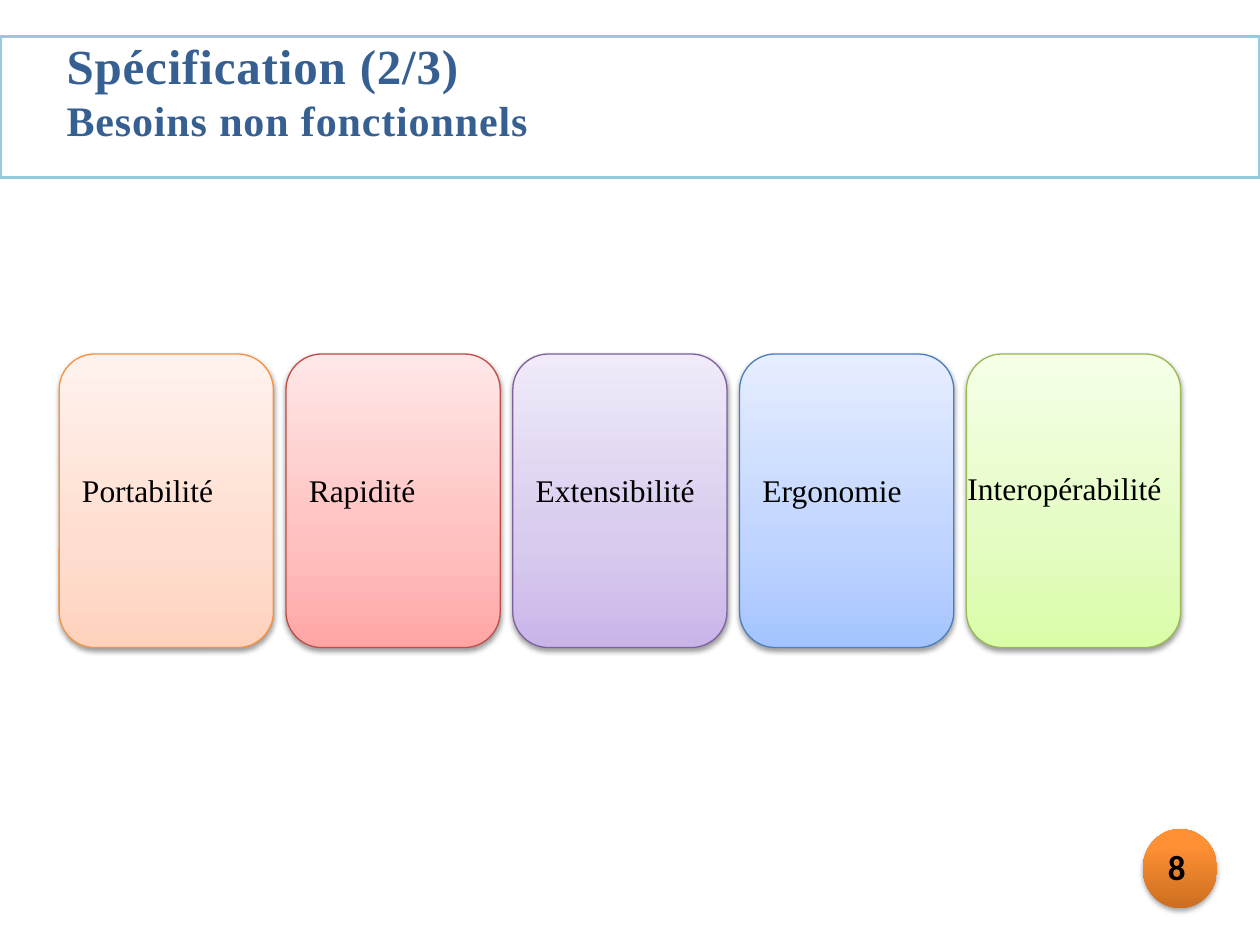
from dataclasses import dataclass

from lxml.etree import SubElement as Sub
from pptx import Presentation
from pptx.dml.color import RGBColor as RGB
from pptx.enum.shapes import MSO_SHAPE as Kind
from pptx.enum.text import MSO_ANCHOR as Anchor, PP_ALIGN as Align
from pptx.oxml.ns import qn
from pptx.util import Inches, Pt


@dataclass(frozen=True)
class Theme:
    serif: str = "Times New Roman"
    sans: str = "Calibri"
    ink: str = "000000"
    paper: str = "FFFFFF"
    title: str = "376092"
    frame: str = "93CDDD"
    head: int = 28
    sub: int = 24
    body: int = 18
    page: int = 20
    badge: tuple = ((0, "CC6E20"), (80, "FF9034"), (100, "FF9136"))


THEME = Theme()

CARDS = [
    ("Portabilité", "F69240", ("FFD2BD", "FFDED0", "FFF2ED")),
    ("Rapidité", "BF4C48", ("FFA6A5", "FFC0BF", "FFE7E7")),
    ("Extensibilité", "7D60A0", ("C9B5E8", "D8CBEE", "F0EAF9")),
    ("Ergonomie", "4B7EBC", ("A4C4FF", "BFD4FF", "E6EEFF")),
    ("", "98B955", ("DAFDA7", "E4FCC2", "F5FFE7")),
]


def add_shape(slide, kind, box, line=None, width=0.75):
    shape = slide.shapes.add_shape(kind, *map(Inches, box))
    shape.shadow.inherit = False
    if line:
        shape.line.color.rgb = RGB.from_string(line)
        shape.line.width = Pt(width)
    else:
        shape.line.fill.background()
    return shape


def add_color(node, color):
    return Sub(node, qn("a:srgbClr"), val=color)


def set_blend(shape, stops):
    shape.fill.gradient()
    shape.fill.gradient_angle = 90
    group = shape.element.spPr.find(".//" + qn("a:gsLst"))
    for old in list(group):
        group.remove(old)
    for place, color in stops:
        add_color(Sub(group, qn("a:gs"), pos=str(place * 1000)), color)


def set_shadow(shape, alpha):
    effects = shape.element.spPr.find(qn("a:effectLst"))
    shade = Sub(effects, qn("a:outerShdw"), blurRad=str(Pt(3.1)),
                dist=str(Pt(1.6)), dir="5400000", rotWithShape="0")
    color = add_color(shade, THEME.ink)
    Sub(color, qn("a:alpha"), val=str(alpha * 1000))


def style(par, size, font=THEME.serif, color=THEME.ink, bold=False, gap=0):
    par.alignment = Align.LEFT
    for run in par.runs:
        run.font.name = font
        run.font.size = Pt(size)
        run.font.bold = bold
        run.font.color.rgb = RGB.from_string(color)
        if gap:
            run.font._element.set("spc", str(gap))


def add_text(slide, box, text, wrap=True):
    frame = slide.shapes.add_textbox(*map(Inches, box)).text_frame
    frame.word_wrap = wrap
    frame.text = text
    return frame.paragraphs


def add_title(slide):
    bar = add_shape(slide, Kind.RECTANGLE, (0, 0.29, 10, 1.12), THEME.frame, 2)
    bar.fill.solid()
    bar.fill.fore_color.rgb = RGB.from_string(THEME.paper)
    lines = add_text(slide, (0.43, 0.23, 4.96, 0.98),
                     "Spécification (2/3)\nBesoins non fonctionnels")
    for par, size in zip(lines, (THEME.head, THEME.sub)):
        style(par, size, color=THEME.title, bold=True, gap=50)


def add_card(slide, left, label, line, colors):
    card = add_shape(slide, Kind.ROUNDED_RECTANGLE, (left, 2.81, 1.7, 2.33), line)
    set_blend(card, zip((0, 35, 100), colors))
    set_shadow(card, 38)
    if label:
        frame = card.text_frame
        frame.vertical_anchor = Anchor.MIDDLE
        frame.margin_bottom = Inches(0.22)
        frame.margin_right = 0
        frame.text = label
        style(frame.paragraphs[0], THEME.body)


def add_badge(slide, number):
    badge = add_shape(slide, Kind.OVAL, (9.07, 6.58, 0.59, 0.63))
    set_blend(badge, THEME.badge)
    set_shadow(badge, 35)
    par = add_text(slide, (9.17, 6.66, 0.39, 0.44), number)[0]
    style(par, THEME.page, THEME.sans, bold=True)


def main():
    deck = Presentation()
    deck.slide_width, deck.slide_height = Inches(10), Inches(7.5)
    slide = deck.slides.add_slide(deck.slide_layouts[6])
    add_title(slide)
    for i, (label, line, colors) in enumerate(CARDS):
        add_card(slide, 0.47 + 1.8 * i, label, line, colors)
    par = add_text(slide, (7.58, 3.67, 1.89, 0.4), "Interopérabilité")[0]
    style(par, THEME.body)
    add_badge(slide, "8")
    deck.save("out.pptx")


if __name__ == "__main__":
    main()
